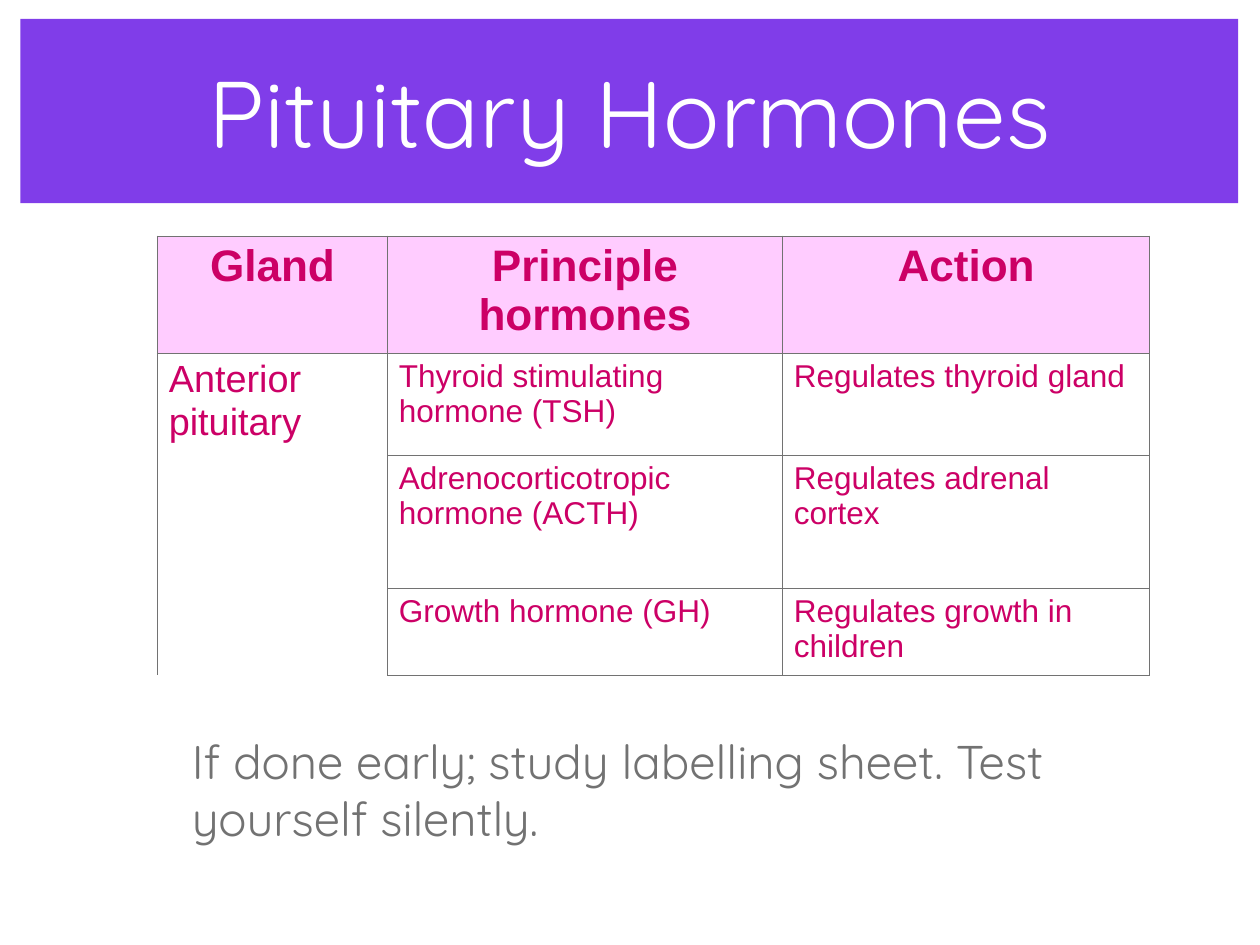
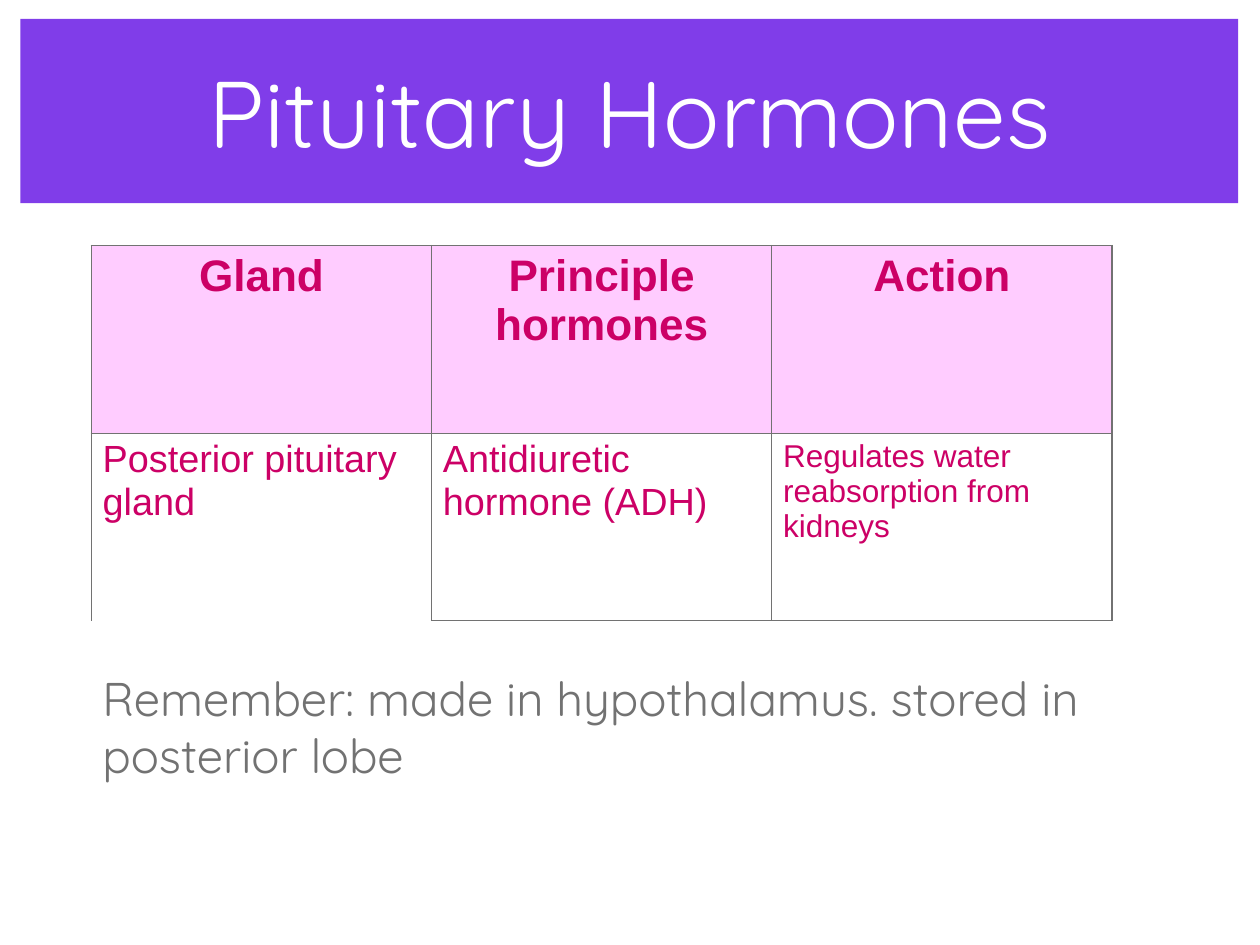
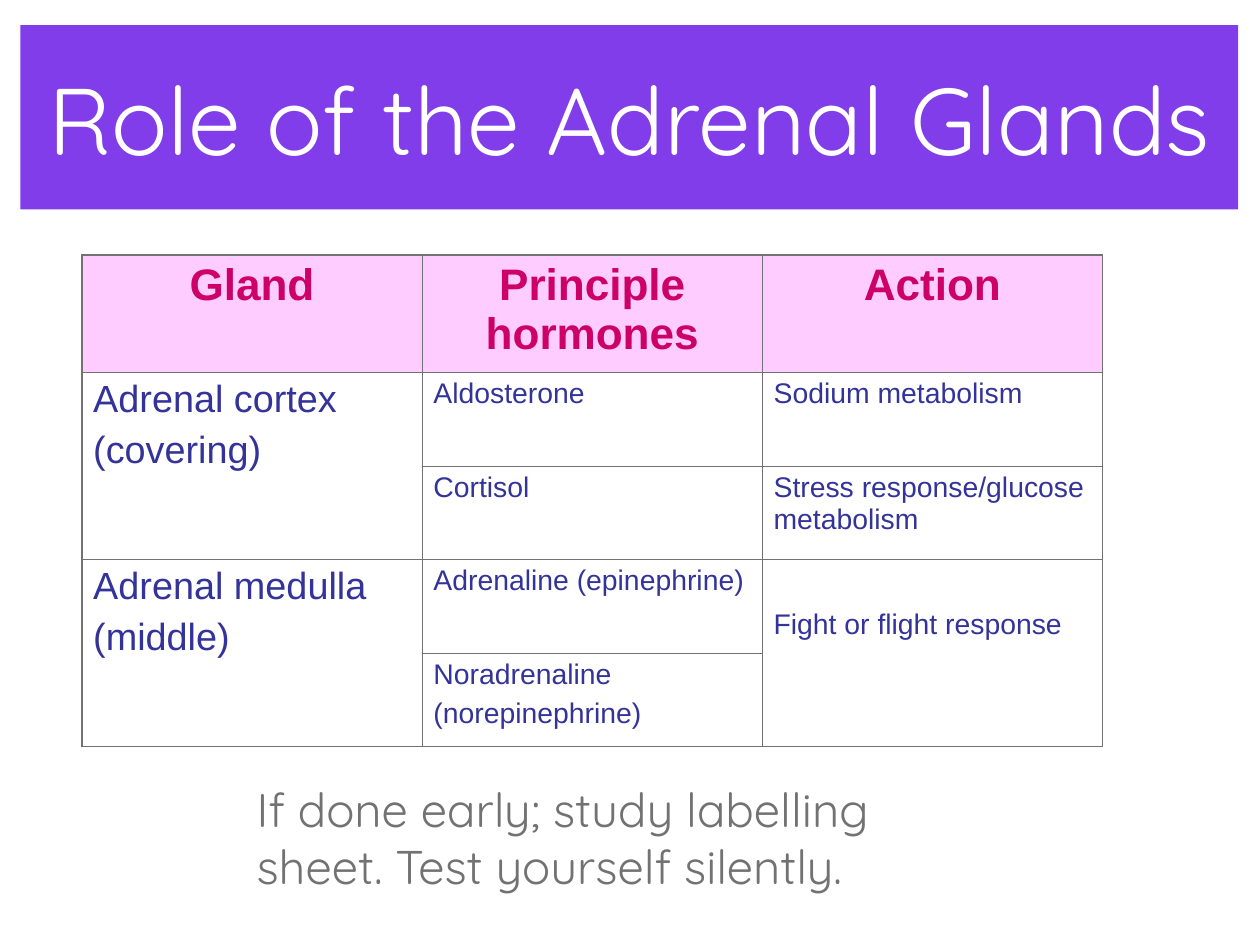
from dataclasses import dataclass

from lxml.etree import SubElement
from pptx import Presentation
from pptx.dml.color import RGBColor
from pptx.enum.shapes import MSO_SHAPE
from pptx.enum.text import MSO_ANCHOR, PP_ALIGN
from pptx.oxml.ns import qn
from pptx.util import Pt


@dataclass(frozen=True)
class Theme:
    violet: str = "803DE9"
    white: str = "FFFFFF"
    grey: str = "727272"
    pink: str = "FFCCFF"
    magenta: str = "CC0066"
    blue: str = "333399"
    title_font: str = "Quicksand"
    table_font: str = "Arial"
    title_size: float = 60
    note_size: float = 30
    header_size: float = 28
    large_size: float = 24
    medium_size: float = 20
    small_size: float = 18
    outer_line: float = 1.08
    inner_line: float = 0.45


THEME = Theme()
HEADERS = ["Gland", "Principle hormones", "Action"]
EARLY_NOTE = "If done early; study labelling sheet. Test yourself silently."


class Deck:
    def __init__(self, theme):
        self.theme = theme
        self.slide = None
        self.presentation = Presentation()
        self.presentation.slide_width = Pt(800)
        self.presentation.slide_height = Pt(600)

    def add_slide(self):
        self.slide = self.presentation.slides.add_slide(self.presentation.slide_layouts[6])

    def set_text(self, text_frame, text, font, size, color, bold=False, align=PP_ALIGN.LEFT):
        text_frame.text = text
        for index, paragraph in enumerate(text_frame.paragraphs):
            paragraph.alignment = align
            paragraph.space_before = Pt(size / 4 if index else 0)
            for run in paragraph.runs:
                run.font.name = font
                run.font.size = Pt(size)
                run.font.bold = bold
                run.font.color.rgb = RGBColor.from_string(color)

    def title(self, text, top=12):
        shape = self.slide.shapes.add_shape(
            MSO_SHAPE.RECTANGLE, Pt(12.9), Pt(top), Pt(773.3), Pt(117))
        shape.shadow.inherit = False
        shape.fill.solid()
        shape.fill.fore_color.rgb = RGBColor.from_string(self.theme.violet)
        shape.line.fill.background()
        frame = shape.text_frame
        frame.margin_left = frame.margin_right = Pt(2.9)
        frame.margin_top = frame.margin_bottom = Pt(2.9)
        frame.vertical_anchor = MSO_ANCHOR.MIDDLE
        frame.word_wrap = True
        self.set_text(frame, text, self.theme.title_font, self.theme.title_size,
                      self.theme.white, align=PP_ALIGN.CENTER)

    def note(self, text, left, top, width):
        box = self.slide.shapes.add_textbox(Pt(left), Pt(top), Pt(width), Pt(79.2))
        box.text_frame.word_wrap = True
        self.set_text(box.text_frame, text, self.theme.title_font, self.theme.note_size,
                      self.theme.grey)

    def cell_lines(self, cell, widths):
        properties = cell._tc.get_or_add_tcPr()
        for edge in ("L", "R", "T", "B"):
            line = SubElement(properties, qn(f"a:ln{edge}"))
            if widths[edge]:
                line.set("w", str(int(Pt(widths[edge]))))
                fill = SubElement(line, qn("a:solidFill"))
                SubElement(fill, qn("a:srgbClr")).set("val", self.theme.grey)
            else:
                SubElement(line, qn("a:noFill"))

    def line_widths(self, table, row, column, open_gland):
        cell = table.cell(row, column)
        outer, inner = self.theme.outer_line, self.theme.inner_line
        last_row, last_column = len(table.rows) - 1, len(table.columns) - 1
        bottom_row = row + (cell.span_height - 1 if cell.is_merge_origin else 0)
        open_cell = open_gland and column == 0
        no_top = cell.is_spanned or (open_cell and row > 1)
        no_bottom = open_cell and row > 0
        at_foot = bottom_row == last_row and not open_gland
        return {
            "L": outer if column == 0 else inner,
            "R": outer if column == last_column else inner,
            "T": 0 if no_top else outer if row == 0 else inner,
            "B": 0 if no_bottom else outer if at_foot else inner,
        }

    def hormone_table(self, left, top, widths, heights, body, sizes, color,
                      merges=(), open_gland=False):
        rows = [HEADERS, *body]
        table = self.slide.shapes.add_table(
            len(rows), len(widths), Pt(left), Pt(top), Pt(sum(widths)), Pt(sum(heights))).table
        table.first_row = table.horz_banding = False
        for column, width in zip(table.columns, widths):
            column.width = Pt(width)
        for row, height in zip(table.rows, heights):
            row.height = Pt(height)
        for first, last, column in merges:
            table.cell(first, column).merge(table.cell(last, column))
        for row, texts in enumerate(rows):
            for column, text in enumerate(texts):
                cell = table.cell(row, column)
                self.cell_lines(cell, self.line_widths(table, row, column, open_gland))
                if row == 0:
                    cell.fill.solid()
                    cell.fill.fore_color.rgb = RGBColor.from_string(self.theme.pink)
                    self.set_text(cell.text_frame, text, self.theme.table_font,
                                  self.theme.header_size, self.theme.magenta, True,
                                  PP_ALIGN.CENTER)
                else:
                    cell.fill.background()
                    if text:
                        self.set_text(cell.text_frame, text, self.theme.table_font,
                                      sizes[column], color)
        return table


def anterior_pituitary(deck):
    theme = deck.theme
    deck.add_slide()
    deck.title("Pituitary Hormones")
    deck.hormone_table(
        100, 150, [146, 250.8, 233.2], [74.2, 64.8, 84.4, 55.4],
        [["Anterior pituitary", "Thyroid stimulating hormone (TSH)", "Regulates thyroid gland"],
         ["", "Adrenocorticotropic hormone (ACTH)", "Regulates adrenal cortex"],
         ["", "Growth hormone (GH)", "Regulates growth in children"]],
        [theme.large_size, theme.medium_size, theme.medium_size], theme.magenta,
        open_gland=True)
    deck.note(EARLY_NOTE, 114.8, 461.5, 597.6)


def posterior_pituitary(deck):
    theme = deck.theme
    deck.add_slide()
    deck.title("Pituitary Hormones")
    deck.hormone_table(
        58, 156, [216] * 3, [119] * 2,
        [["Posterior pituitary gland", "Antidiuretic hormone (ADH)",
          "Regulates water reabsorption from kidneys"]],
        [theme.large_size, theme.large_size, theme.medium_size], theme.magenta,
        open_gland=True)
    deck.note("Remember: made in hypothalamus. stored in posterior lobe", 58, 421.4, 728)


def adrenal_glands(deck):
    theme = deck.theme
    deck.add_slide()
    deck.title("Role of the Adrenal Glands", top=16)
    table = deck.hormone_table(
        52, 162, [216] * 3, [74.2] + [59.4] * 4,
        [["Adrenal cortex\n(covering)", "Aldosterone", "Sodium metabolism"],
         ["", "Cortisol", "Stress response/glucose metabolism"],
         ["Adrenal medulla\n(middle)", "Adrenaline (epinephrine)", "Fight or flight response"],
         ["", "Noradrenaline\n(norepinephrine)", ""]],
        [theme.large_size, theme.small_size, theme.small_size], theme.blue,
        merges=[(1, 2, 0), (3, 4, 0), (3, 4, 2)])
    table.cell(3, 2).margin_top = Pt(31)
    deck.note(EARLY_NOTE, 155.8, 491.8, 488.2)


def main():
    deck = Deck(THEME)
    anterior_pituitary(deck)
    posterior_pituitary(deck)
    adrenal_glands(deck)
    deck.presentation.save("out.pptx")


if __name__ == "__main__":
    main()
